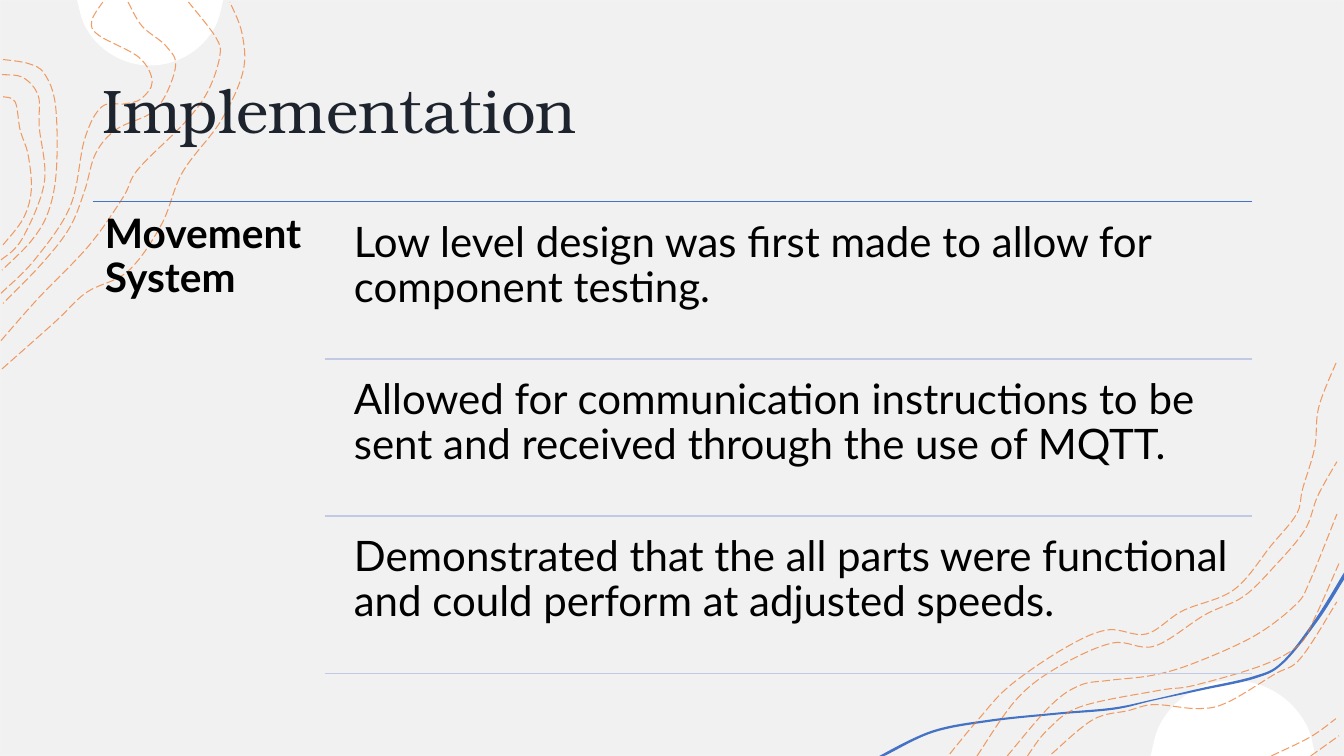
from math import cos, radians, sin

from lxml.etree import SubElement
from pptx import Presentation
from pptx.dml.color import RGBColor
from pptx.enum.dml import MSO_LINE
from pptx.enum.shapes import MSO_CONNECTOR, MSO_SHAPE
from pptx.enum.text import MSO_ANCHOR
from pptx.oxml.ns import qn
from pptx.util import Inches, Pt

PAPER = RGBColor(0xF2, 0xF1, 0xF1)
PAPER_EDGE = RGBColor(0xF2, 0xF2, 0xF2)
WHITE = RGBColor(0xFF, 0xFF, 0xFF)
BLACK = RGBColor(0x00, 0x00, 0x00)
INK = RGBColor(0x1D, 0x24, 0x2E)
BLUE = RGBColor(0x44, 0x72, 0xC4)
PALE_BLUE = RGBColor(0xC1, 0xC9, 0xE4)
ORANGE = RGBColor(0xED, 0x7D, 0x31)

LEFT, RIGHT = 0.92, 12.42
RULE_LEFT, TEXT_LEFT = 3.22, 3.39
TOP, ROW_STEP = 2, 1.56

STATEMENTS = [
    "Low level design was first made to allow for component testing.",
    "Allowed for communication instructions to be sent and received through the use of MQTT.",
    "Demonstrated that the all parts were functional and could perform at adjusted speeds.",
]

TOP_LEFT_CONTOURS = [
    [(0.02, 3.66), (0.55, 3.19), (0.86, 2.9), (1.27, 2.69), (1.6, 2.23), (1.81, 1.71),
     (2.19, 1.2), (2.41, 0.71), (2.4, 0.33), (2.28, 0.02)],
    [(0.01, 3.38), (0.38, 2.96), (0.88, 2.44), (1.22, 1.96), (1.37, 1.68), (1.83, 1.22),
     (2.06, 0.91), (2.18, 0.56), (2.14, 0.37), (1.87, 0.02)],
    [(1.27, 0.02), (1.41, 0.26), (1.65, 0.46), (1.74, 0.67), (1.55, 1.08), (1.16, 1.28),
     (0.95, 1.52), (0.84, 1.89), (0.69, 2.26), (0.42, 2.61), (0.03, 3.01)],
    [(0.01, 2.91), (0.35, 2.57), (0.7, 2.04), (0.84, 1.38), (1.01, 1.06), (1.24, 1.03),
     (1.4, 0.98), (1.51, 0.81), (1.38, 0.57), (0.98, 0.35), (0.91, 0.21), (1.02, 0.02)],
    [(0.03, 0.59), (0.28, 0.63), (0.44, 0.73), (0.55, 1.04), (0.56, 1.68), (0.48, 2.1),
     (0.31, 2.39), (0.02, 2.68)],
    [(0.02, 0.74), (0.23, 0.77), (0.38, 0.95), (0.39, 1.26), (0.44, 1.81), (0.22, 2.37),
     (0.01, 2.58)],
    [(0.03, 0.96), (0.15, 1.01), (0.2, 1.29), (0.28, 1.54), (0.31, 1.89), (0.23, 2.17),
     (0.03, 2.43)],
]

BOTTOM_RIGHT_CONTOURS = [
    [(9.42, 7.48), (9.71, 7.13), (10.02, 6.8), (10.56, 6.43), (10.98, 6.25), (11.37, 6.29),
     (11.73, 6.06), (12.24, 5.85), (12.61, 5.41), (12.86, 5.1), (12.92, 4.85), (13.04, 4.44),
     (13.08, 4.04), (13.26, 3.58)],
    [(9.69, 7.5), (10.08, 6.94), (10.49, 6.62), (11.03, 6.38), (11.45, 6.41), (11.95, 6.1),
     (12.33, 5.92), (12.63, 5.63), (12.94, 5.26), (13.07, 4.92), (13.26, 4.58)],
    [(13, 7.5), (13.28, 7.3)],
    [(12.61, 7.5), (13, 7.31), (13.25, 7.13)],
    [(10.43, 7.48), (10.84, 7.14), (11.19, 7.05), (11.45, 6.99), (11.88, 7.03), (12.17, 6.97),
     (12.64, 6.69), (12.9, 6.53), (13.26, 5.97)],
    [(10.19, 7.5), (10.39, 7.24), (10.72, 7.01), (11.49, 6.85), (11.84, 6.8), (12.52, 6.6),
     (12.88, 6.4), (13.03, 6.15), (13.28, 5.59)],
    [(9.99, 7.5), (10.42, 7), (10.71, 6.8), (11, 6.75), (11.43, 6.7), (11.84, 6.58),
     (12.44, 6.31), (12.85, 6), (12.99, 5.77), (13.26, 5.1)],
]

RIBBON = [
    (13.33, 5.75), (13.07, 6.16), (12.73, 6.58), (12.45, 6.73), (11.91, 6.85), (11.44, 6.95),
    (11.05, 7.04), (10.48, 7.09), (9.82, 7.16), (9.25, 7.27), (8.77, 7.5),
    (8.72, 7.5), (9.24, 7.25), (9.81, 7.14), (10.48, 7.07), (11.04, 7.02), (11.43, 6.94),
    (11.9, 6.83), (12.43, 6.71), (12.71, 6.57), (13.04, 6.15), (13.33, 5.68)]


def arc(cx, cy, radius, start, end, parts=8):
    """Points on a circle from one angle to another, in degrees."""
    angles = [radians(start + (end - start) * i / parts) for i in range(parts + 1)]
    return [(cx + radius * cos(a), cy + radius * sin(a)) for a in angles]


def bend(sp):
    """Turn the straight segments of a freeform into one smooth curve."""
    element = sp._element
    points = [(int(pt.get("x")), int(pt.get("y"))) for pt in element.iter(qn("a:pt"))]
    padded = [points[0], *points, points[-1]]
    segments = list(element.iter(qn("a:lnTo")))
    for segment, a, b, c, d in zip(segments, padded, padded[1:], padded[2:], padded[3:]):
        curve = segment.getparent().makeelement(qn("a:cubicBezTo"))
        leaving = [q + (r - p) / 6 for p, q, r in zip(a, b, c)]
        arriving = [q - (r - p) / 6 for p, q, r in zip(b, c, d)]
        for x, y in (leaving, arriving, c):
            SubElement(curve, qn("a:pt"), x=str(round(x)), y=str(round(y)))
        segment.getparent().replace(segment, curve)


class Deck:
    def __init__(self):
        self.prs = Presentation()
        self.prs.slide_width, self.prs.slide_height = Inches(13.33), Inches(7.5)
        self.s = self.prs.slides.add_slide(self.prs.slide_layouts[6])

    def backdrop(self):
        sp = self.s.shapes.add_shape(MSO_SHAPE.RECTANGLE, 0, 0,
                                     self.prs.slide_width, self.prs.slide_height)
        sp.shadow.inherit = False
        sp.fill.solid()
        sp.fill.fore_color.rgb = PAPER
        sp.line.color.rgb = PAPER_EDGE
        sp.line.width = Pt(1)

    def curve(self, anchors, close):
        (x, y), *rest = [(Inches(x), Inches(y)) for x, y in anchors]
        builder = self.s.shapes.build_freeform(x, y)
        builder.add_line_segments(rest, close=close)
        sp = builder.convert_to_shape()
        bend(sp)
        sp.shadow.inherit = False
        return sp

    def area(self, anchors, color):
        sp = self.curve(anchors, close=True)
        sp.fill.solid()
        sp.fill.fore_color.rgb = color
        sp.line.fill.background()

    def contour(self, anchors):
        sp = self.curve(anchors, close=False)
        sp.fill.background()
        sp.line.color.rgb = ORANGE
        sp.line.width = Pt(0.75)
        sp.line.dash_style = MSO_LINE.LONG_DASH
        color = sp._element.spPr.find(qn("a:ln")).find(".//" + qn("a:srgbClr"))
        SubElement(color, qn("a:alpha"), val="75000")

    def rule(self, left, y, color):
        line = self.s.shapes.add_connector(MSO_CONNECTOR.STRAIGHT, Inches(left), Inches(y),
                                           Inches(RIGHT), Inches(y))
        line.line.color.rgb = color
        line.line.width = Pt(1)
        SubElement(line._element.spPr, qn("a:effectLst"))

    def text(self, box, words, size, font="Lato", color=BLACK, bold=False,
             anchor=MSO_ANCHOR.TOP, inset=(0.12, 0.12)):
        tf = self.s.shapes.add_textbox(*map(Inches, box)).text_frame
        tf.word_wrap = True
        tf.vertical_anchor = anchor
        tf.margin_left = tf.margin_right = Inches(inset[0])
        tf.margin_top = tf.margin_bottom = Inches(inset[1])
        p = tf.paragraphs[0]
        p.text = words
        p.line_spacing = 0.9
        p.font.name, p.font.size, p.font.bold = font, Pt(size), bold
        p.font.color.rgb = color


def main():
    deck = Deck()
    deck.backdrop()
    deck.area(arc(1.49, -0.08, 0.73, 6, 174), WHITE)
    deck.area(arc(12.23, 7.57, 0.82, 185, 355), WHITE)
    deck.area(RIBBON, BLUE)
    for anchors in TOP_LEFT_CONTOURS + BOTTOM_RIGHT_CONTOURS:
        deck.contour(anchors)

    deck.text((LEFT, 0.4, 11.5, 1.45), "Implementation", 44, "TeX Gyre Bonum", INK,
              anchor=MSO_ANCHOR.MIDDLE, inset=(0.1, 0.05))
    deck.rule(LEFT, TOP, BLUE)
    deck.text((LEFT, TOP, 2.3, 4.76), "Movement System", 29, bold=True)
    for row, statement in enumerate(STATEMENTS):
        y = TOP + row * ROW_STEP
        deck.text((TEXT_LEFT, y + 0.07, RIGHT - TEXT_LEFT, 1.49), statement, 30)
        deck.rule(RULE_LEFT, y + ROW_STEP, PALE_BLUE)
    deck.prs.save("out.pptx")


if __name__ == "__main__":
    main()
